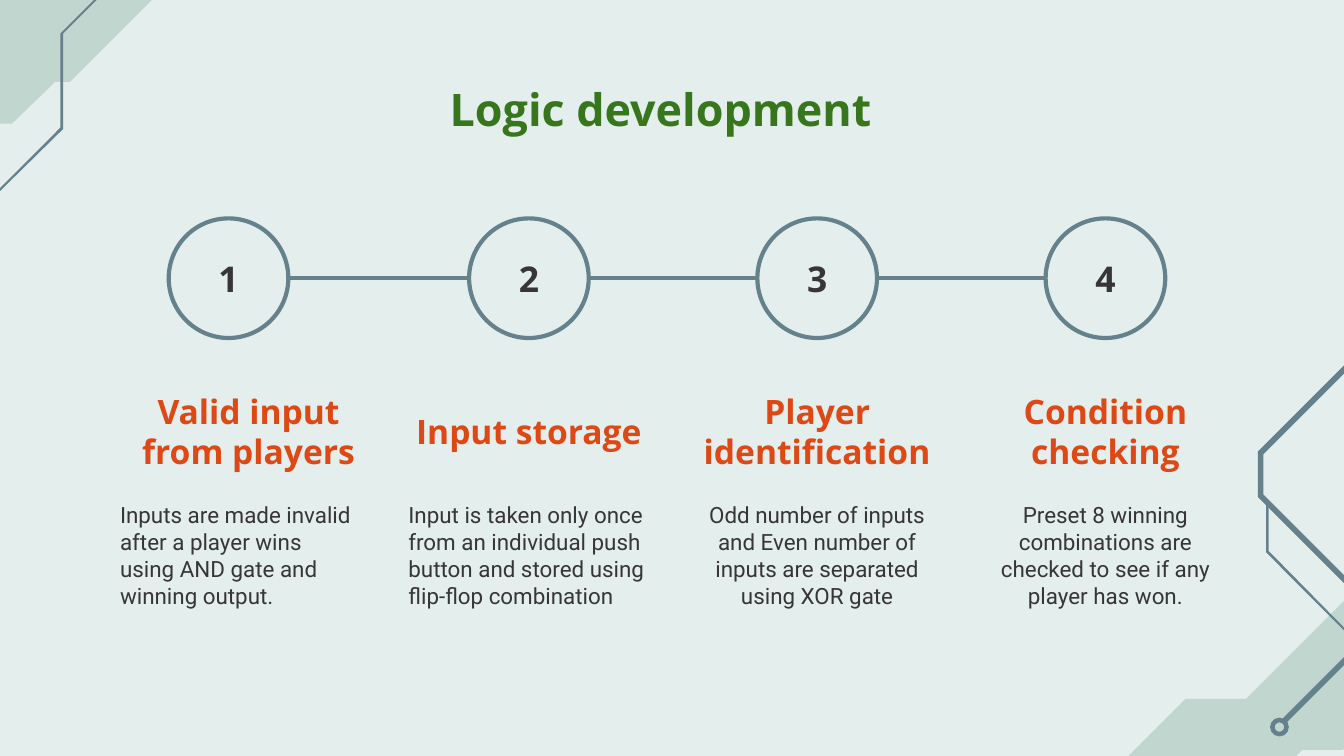
import pptx
import pptx.util
import pptx.dml.color
import pptx.enum.shapes
import pptx.enum.text
import pptx.oxml

Inches, Pt = pptx.util.Inches, pptx.util.Pt
SHAPE = pptx.enum.shapes.MSO_SHAPE
ALIGN = pptx.enum.text.PP_ALIGN
ANCHOR = pptx.enum.text.MSO_ANCHOR

WIDE = 10
HIGH = WIDE * 9 / 16

# Column grid: centre of the first column, and the step between columns
FIRST, STEP = 1.79, 2.145
COLS_W = 1.99
RING = 0.89
RING_Y = 2.07

PAPER, SAGE, STEEL = "E3EEED", "C1D6CE", "64818C"
INK, GREEN, RUST = "383536", "38761D", "DD4815"

TITLE = {"name": "Open Sans", "size": Pt(24), "bold": True}
HEAD = {"name": "Open Sans", "size": Pt(18), "bold": True}
BODY = {"name": "Roboto", "size": Pt(12), "bold": False}
DIGIT = {"name": "Open Sans", "size": Pt(19), "bold": True}

# Heading, text, text alignment, heading's extra width, ring's shift
STEPS = [
    ("Valid input from players",
     "Inputs are made invalid after a player wins using AND gate "
     "and winning output.", ALIGN.LEFT, 0.12, -0.09),
    ("Input storage",
     "Input is taken only once from an individual push button "
     "and stored using flip-flop combination", ALIGN.LEFT, 0, 0),
    ("Player identification",
     "Odd number of inputs and Even number of inputs are separated "
     "using XOR gate", ALIGN.CENTER, 0, 0),
    ("Condition checking",
     "Preset 8 winning combinations are checked to see if any "
     "player has won.", ALIGN.CENTER, 0, 0),
]

# Corner outlines, in thousandths of the slide's width
CORNERS = [
    (SAGE, [(119, -72), (65, -18), (16, -18), (-94, 92), (9, 92),
            (41, 61), (52, 61), (185, -72)]),
    (STEEL, [(121, -51), (45, 25), (45, 95), (-12, 152), (-11, 153),
             (47, 96), (47, 25), (122, -50)]),
    (SAGE, [(1027, 420), (927, 520), (882, 520), (825, 577), (825, 603),
            (789, 639), (887, 639), (969, 558), (999, 558), (1058, 499),
            (1058, 483), (1121, 420)]),
    (STEEL, [(1218, 132), (1121, 229), (1043, 229), (936, 336), (936, 370),
             (1001, 435), (1001, 488), (953, 536), (956, 539), (1005, 490),
             (1005, 433), (940, 368), (940, 338), (1045, 233), (1122, 233),
             (1221, 134)]),
    (STEEL, [(942, 374), (942, 411), (1002, 471), (1003, 470), (944, 410),
             (944, 374)]),
]


def tint(code):
    return pptx.dml.color.RGBColor.from_string(code)


def paint(shape, color):
    """Plain fill without outline or shadow."""
    shape.shadow.inherit = False
    shape.fill.solid()
    shape.fill.fore_color.rgb = tint(color)
    shape.line.fill.background()


def write(shape, text, style, color, align=ALIGN.CENTER,
          anchor=ANCHOR.MIDDLE, pitch=None):
    frame = shape.text_frame
    frame.word_wrap = True
    frame.vertical_anchor = anchor
    for side in ("left", "right", "top", "bottom"):
        setattr(frame, "margin_" + side, Inches(0.1))
    para = frame.paragraphs[0]
    para.alignment = align
    if pitch:
        para.line_spacing = Pt(pitch)
    run = para.add_run()
    run.text = text
    for key, value in style.items():
        setattr(run.font, key, value)
    run.font.color.rgb = tint(color)


def outline(slide, color, points):
    unit = Inches(WIDE / 1000)
    pen = slide.shapes.build_freeform(*points[0], scale=unit)
    pen.add_line_segments(points[1:], close=True)
    paint(pen.convert_to_shape(), color)


def label(slide, left, top, width, height, *args, **more):
    box = slide.shapes.add_textbox(*map(Inches, (left, top, width, height)))
    write(box, *args, **more)


def ring(slide, mid, number):
    size = Inches(RING)
    disc = slide.shapes.add_shape(
        SHAPE.OVAL, Inches(mid - RING / 2), Inches(RING_Y - RING / 2),
        size, size)
    disc.shadow.inherit = False
    disc.fill.background()
    disc.line.color.rgb = tint(STEEL)
    disc.line.width = Pt(2.25)
    write(disc, str(number), DIGIT, INK)


def link(slide, start, end):
    line = slide.shapes.add_connector(
        pptx.enum.shapes.MSO_CONNECTOR.STRAIGHT,
        Inches(start + RING / 2), Inches(RING_Y),
        Inches(end - RING / 2), Inches(RING_Y))
    line.line.color.rgb = tint(STEEL)
    line.line.width = Pt(2.25)
    props = line._element.spPr
    props.append(props.makeelement(pptx.oxml.ns.qn("a:effectLst"), {}))


def main():
    deck = pptx.Presentation()
    deck.slide_width, deck.slide_height = Inches(WIDE), Inches(HIGH)
    slide = deck.slides.add_slide(deck.slide_layouts[5])
    slide.background.fill.solid()
    slide.background.fill.fore_color.rgb = tint(PAPER)

    # Corner decoration, ending in a small ring
    for color, points in CORNERS:
        outline(slide, color, points)
    knob = slide.shapes.add_shape(
        SHAPE.DONUT, *map(Inches, (9.45, 5.34, 0.14, 0.14)))
    paint(knob, STEEL)

    # Title
    title = slide.shapes.title
    title.left, title.top, title.width, title.height = map(
        Inches, (0.7, 0.51, 8.43, 0.65))
    write(title, "Logic development", TITLE, GREEN, anchor=ANCHOR.TOP)

    # Numbered steps, one to a column
    mids = []
    for index, (head, body, align, extra, shift) in enumerate(STEPS):
        mid = FIRST + index * STEP
        left = mid - COLS_W / 2
        mids.append(mid + shift)
        ring(slide, mids[-1], index + 1)
        label(slide, left, 3, COLS_W + extra, 0.41, head, HEAD, RUST,
              pitch=21.5)
        label(slide, left, 3.86, COLS_W, 0.54, body, BODY, INK,
              align=align, pitch=14.5)

    # Lines between the rings
    for start, end in zip(mids, mids[1:]):
        link(slide, start, end)

    deck.save("out.pptx")


if __name__ == "__main__":
    main()
